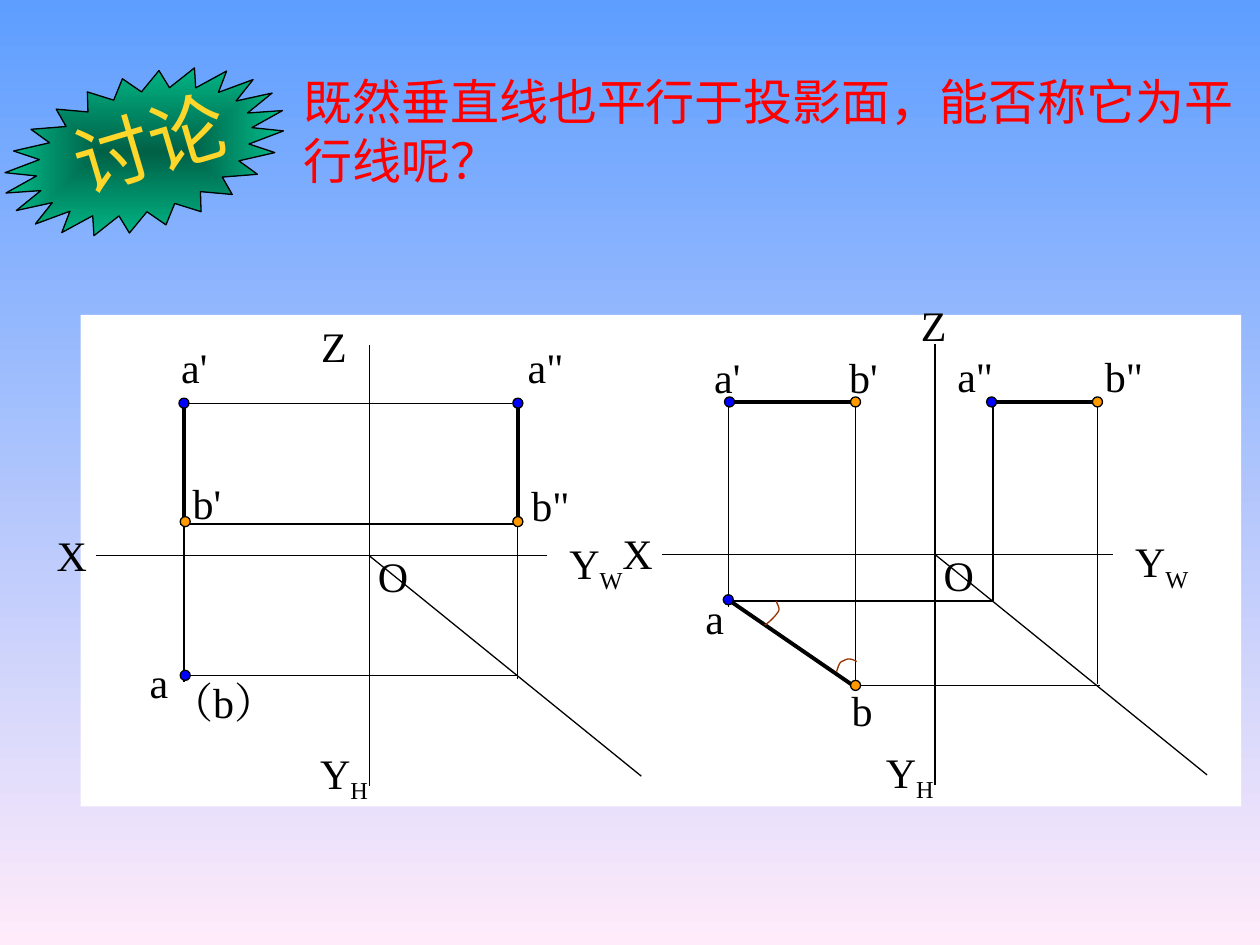
from lxml import etree
from pptx import Presentation
from pptx.dml.color import RGBColor
from pptx.enum.shapes import MSO_CONNECTOR, MSO_SHAPE
from pptx.enum.text import MSO_ANCHOR, MSO_AUTO_SIZE, PP_ALIGN
from pptx.oxml import parse_xml
from pptx.oxml.ns import nsdecls, qn
from pptx.util import Pt

PX = 9144  # 100 px to the inch
STRAIGHT = MSO_CONNECTOR.STRAIGHT
ELLIPSE, RECT, STAR = MSO_SHAPE.OVAL, MSO_SHAPE.RECTANGLE, MSO_SHAPE.STAR_24_POINT
TOP, MIDDLE = MSO_ANCHOR.TOP, MSO_ANCHOR.MIDDLE
LEFT, CENTER = PP_ALIGN.LEFT, PP_ALIGN.CENTER
FIT = MSO_AUTO_SIZE.SHAPE_TO_FIT_TEXT
BLACK, BLUE, ORANGE, BROWN = "000000", "0000FF", "FF9900", "993300"
THIN, THICK = 0.75, 2.25
rgb = RGBColor.from_string

prs = Presentation()
prs.slide_width, prs.slide_height = 1000 * PX, 750 * PX
s = prs.slides.add_slide(prs.slide_layouts[6])


def add_text(text, x, y, w, h, sub="", size=24, font="Times New Roman",
             color=BLACK, align=LEFT, anchor=TOP, wrap=True, rotation=0):
    """Add a text box; sub is set as a subscript after the text."""
    sp = s.shapes.add_textbox(x * PX, y * PX, w * PX, h * PX)
    sp.rotation = rotation
    tf = sp.text_frame
    tf.word_wrap, tf.auto_size, tf.vertical_anchor = wrap, FIT, anchor
    p = tf.paragraphs[0]
    p.alignment = align
    for part in filter(None, (text, sub)):
        r = p.add_run()
        r.text = part
        r.font.size, r.font.name = Pt(size), font
        r.font.color.rgb = rgb(color)
        rPr = r._r.get_or_add_rPr()
        etree.SubElement(rPr, qn("a:ea")).set("typeface", font)
        if part == sub:
            rPr.set("baseline", "-25000")


def add_line(x1, y1, x2, y2, width=THIN):
    ln = s.shapes.add_connector(STRAIGHT, x1 * PX, y1 * PX, x2 * PX, y2 * PX)
    ln.line.color.rgb = rgb(BLACK)
    ln.line.width = Pt(width)
    etree.SubElement(ln._element.spPr, qn("a:effectLst"))


# Background
fill = s.background.fill
fill.gradient()
fill.gradient_angle = 270
for stop, color in zip(fill.gradient_stops, ("5E9EFF", "FFEBFA")):
    stop.color.rgb = rgb(color)

# Question and badge
add_text("既然垂直线也平行于投影面，能否称它为平行线呢？", 231, 52, 769, 104,
         size=28, font="Noto Sans CJK SC", color="FF0000")

star = s.shapes.add_shape(STAR, 0, 60 * PX, 229 * PX, 121 * PX)
star.adjustments[0] = 0.385
star.rotation = 343.4
star.shadow.inherit = False
star.line.color.rgb = rgb(BLACK)
star.line.width = Pt(THIN)
star.fill.gradient()
for stop, color in zip(star.fill.gradient_stops, ("006147", "00D49C")):
    stop.color.rgb = rgb(color)
grad = star._element.spPr.find(qn("a:gradFill"))
grad.replace(grad.find(qn("a:lin")), parse_xml(
    f'<a:path {nsdecls("a")} path="rect">'
    '<a:fillToRect l="50000" t="50000" r="50000" b="50000"/></a:path>'))
add_text("讨论", 48, 71, 142, 84, size=44, font="Lato", color="FFD72B",
         wrap=False, rotation=343.4)

# White panel
panel = s.shapes.add_shape(RECT, 64 * PX, 250 * PX, 921 * PX, 390 * PX)
panel.shadow.inherit = False
panel.fill.solid()
panel.fill.fore_color.rgb = rgb("FFFFFF")
panel.line.fill.background()

# Axes of both drawings: origin, then the place of the Z label
for ox, oy, zx, zy in ((293, 441, 245, 249), (742, 440, 721, 233)):
    add_line(ox - 217, oy, ox + 141, oy)
    add_line(ox, oy - 167, ox, oy + 183)
    add_line(ox, oy, ox + 216, oy + 175)
    for text, sub, x, y, w, h in (
            ("X", "", ox - 258, oy - 26, 44, 50),
            ("O", "", ox - 3, oy - 9, 44, 50),
            ("Z", "", zx, zy, 40, 50),
            ("Y", "H", ox - 49, oy + 147, 58, 56),
            ("Y", "W", ox + 149, oy - 20, 62, 56)):
        add_text(text, x, y, w, h, sub=sub, align=CENTER, anchor=MIDDLE, wrap=False)

# Point labels
for text, x, y, w in (
        ("a'", 134, 266, 50), ('a"', 409, 266, 50), ("b'", 143, 374, 50),
        ('b"', 412, 376, 83), ("a", 109, 516, 50), ("（b）", 126, 532, 150),
        ("a'", 557, 274, 50), ("b'", 664, 274, 50), ('a"', 750, 273, 50),
        ('b"', 867, 273, 83), ("a", 550, 465, 50), ("b", 666, 538, 59)):
    add_text(text, x, y, w, 50)

# Projection lines
for ends in (
        (411, 539, 411, 316), (146, 316, 146, 541), (146, 536, 411, 536),
        (143, 416, 414, 416), (148, 320, 406, 320),
        (679, 319, 679, 544), (578, 316, 578, 482), (575, 477, 788, 477),
        (681, 544, 873, 544), (788, 477, 788, 319), (871, 543, 871, 317)):
    add_line(*ends)

# Segment AB in each view
for ends in (
        (146, 316, 146, 416), (411, 316, 411, 416),
        (578, 476, 677, 544), (575, 319, 683, 319), (783, 319, 875, 319)):
    add_line(*ends, width=THICK)

# Angle marks: two cubic curves each, sampled
STEPS = 8
for points in (
        ((616, 477), (617, 480), (619, 482), (618, 485),
         (616, 488), (612, 493), (607, 496)),
        ((664, 533), (665, 530), (666, 526), (668, 525),
         (671, 524), (673, 521), (680, 525))):
    curve = []
    for i in (0, 3):
        for n in range(1, STEPS + 1):
            t = n / STEPS
            weights = ((1 - t) ** 3, 3 * t * (1 - t) ** 2, 3 * t * t * (1 - t), t ** 3)
            curve.append([PX * sum(k * pt[axis] for k, pt in zip(weights, points[i:i + 4]))
                          for axis in (0, 1)])
    x, y = points[0]
    builder = s.shapes.build_freeform(x * PX, y * PX)
    builder.add_line_segments(curve, close=False)
    arc = builder.convert_to_shape()
    arc.shadow.inherit = False
    arc.fill.background()
    arc.line.color.rgb = rgb(BROWN)
    arc.line.width = Pt(THIN)

# End points: A blue, B orange
DOT = 8
for color, corners in (
        (BLUE, ((142, 316), (143, 532), (407, 316), (574, 472), (783, 315), (575, 315))),
        (ORANGE, ((143, 410), (407, 410), (675, 540), (867, 315), (675, 315)))):
    for x, y in corners:
        dot = s.shapes.add_shape(ELLIPSE, x * PX, y * PX, DOT * PX, DOT * PX)
        dot.shadow.inherit = False
        dot.fill.solid()
        dot.fill.fore_color.rgb = rgb(color)
        dot.line.color.rgb = rgb(BLACK)
        dot.line.width = Pt(THIN)

prs.save("out.pptx")
